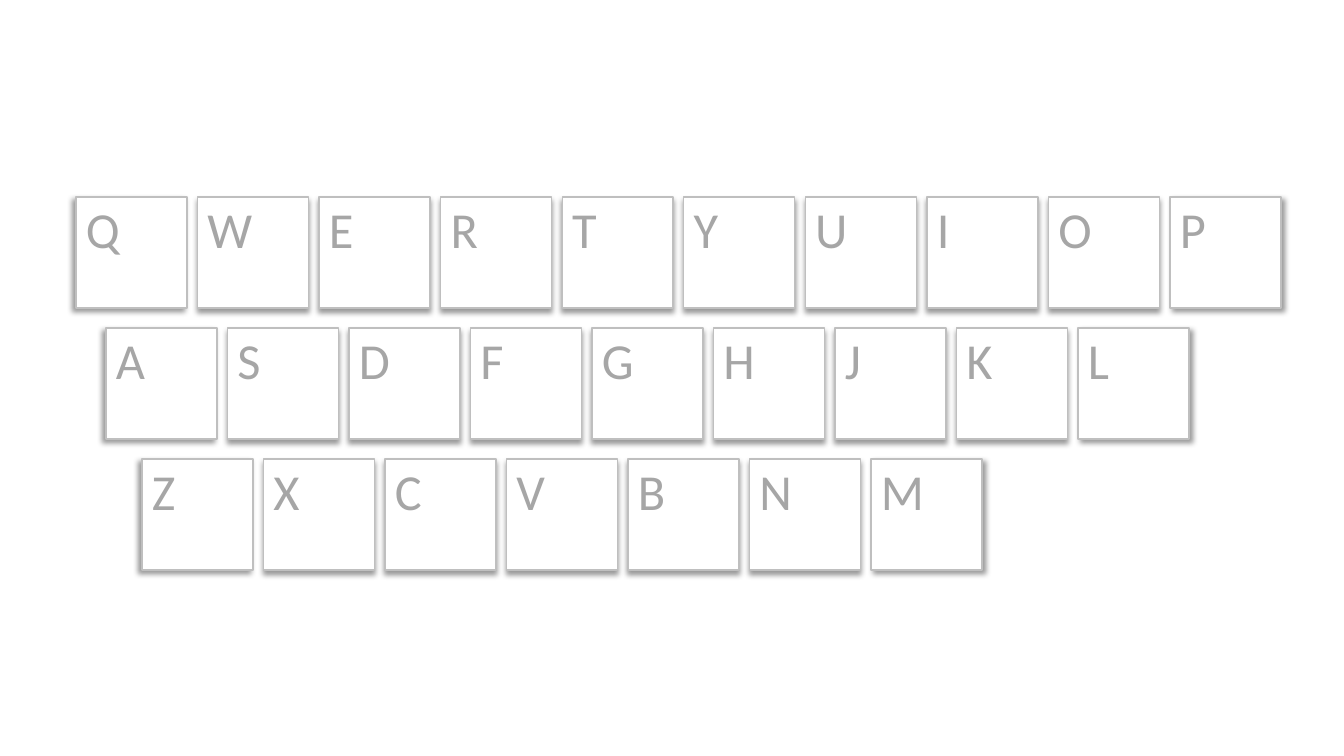
import pptx
import pptx.util
import pptx.dml.color
import pptx.enum.shapes
import pptx.enum.text
import pptx.oxml
import pptx.oxml.ns

WHITE = pptx.dml.color.RGBColor(0xFF, 0xFF, 0xFF)
EDGE = pptx.dml.color.RGBColor(0xBF, 0xBF, 0xBF)
LETTER = pptx.dml.color.RGBColor(0xA6, 0xA6, 0xA6)
BLACK = pptx.dml.color.RGBColor(0, 0, 0)

KEY = 111
ROW_STEP = 131
LABEL_RISE = 4
LABEL_HEIGHT = 71
LABEL_FONT = {"name": "Calibri", "size": pptx.util.Pt(36)}
LABEL_FRAME = {
    "word_wrap": False,
    "auto_size": pptx.enum.text.MSO_AUTO_SIZE.SHAPE_TO_FIT_TEXT,
}
LABEL_WIDTHS = {
    "Q": 54, "W": 66, "E": 45, "R": 48, "T": 45, "Y": 45, "U": 54,
    "I": 33, "O": 54, "P": 46, "A": 49, "S": 43, "D": 51, "F": 43,
    "G": 52, "H": 52, "J": 36, "K": 46, "L": 41, "Z": 44, "X": 46,
    "C": 47, "V": 49, "B": 48, "N": 54, "M": 64,
}
ROWS = [("QWERTYUIOP", 76, 1205), ("ASDFGHJKL", 106, 1083), ("ZXCVBNM", 142, 840)]


def px(*lengths):
    """Turn pixel lengths into EMU."""
    return [pptx.util.Emu(round(n * 914400 / 100.8)) for n in lengths]


def set_all(obj, values):
    """Set every attribute named in a dict of format values."""
    for name, value in values.items():
        setattr(obj, name, value)


def add_shadow(sp, angle, align):
    """Give a shape a soft outer shadow cast at an angle in degrees."""
    sp.shadow.inherit = False
    effects = sp._element.spPr.find(pptx.oxml.ns.qn("a:effectLst"))
    effects.append(pptx.oxml.parse_xml(
        f'<a:outerShdw {pptx.oxml.ns.nsdecls("a")} blurRad="50800" dist="38100" '
        f'dir="{angle * 60000}" algn="{align}" rotWithShape="0">'
        f'<a:srgbClr val="{BLACK}"><a:alpha val="40000"/></a:srgbClr></a:outerShdw>'))


def add_key(shapes, left, top, angle, align):
    """Draw one square key cap."""
    sp = shapes.add_shape(
        pptx.enum.shapes.MSO_SHAPE.RECTANGLE, *px(left, top, KEY, KEY))
    sp.fill.solid()
    sp.fill.fore_color.rgb = WHITE
    sp.line.color.rgb = EDGE
    sp.line.width = pptx.util.Pt(1)
    add_shadow(sp, angle, align)


def add_label(shapes, left, top, letter):
    """Write one letter at the top left of its key."""
    tf = shapes.add_textbox(
        *px(left, top, LABEL_WIDTHS[letter], LABEL_HEIGHT)).text_frame
    set_all(tf, LABEL_FRAME)
    r = tf.paragraphs[0].add_run()
    r.text = letter
    set_all(r.font, LABEL_FONT)
    r.font.color.rgb = LETTER


def add_row(s, letters, left, top, width):
    """Spread a row of keys and their letters evenly over a width."""
    keys = s.shapes.add_group_shape().shapes
    labels = s.shapes.add_group_shape().shapes
    last = len(letters) - 1
    shadows = {0: (135, "tr"), last: (45, "tl")}
    for i, letter in enumerate(letters):
        x = left + i * (width - KEY) / last
        add_key(keys, x, top, *shadows.get(i, (90, "t")))
        add_label(labels, x, top - LABEL_RISE, letter)


def add_keyboard(s, top):
    """Stack the letter rows of the keyboard."""
    for i, (letters, left, width) in enumerate(ROWS):
        add_row(s, letters, left, top + i * ROW_STEP, width)


prs = pptx.Presentation()
prs.slide_width, prs.slide_height = px(1344, 756)
s = prs.slides.add_slide(prs.slide_layouts[6])
add_keyboard(s, 197)
prs.save("out.pptx")
